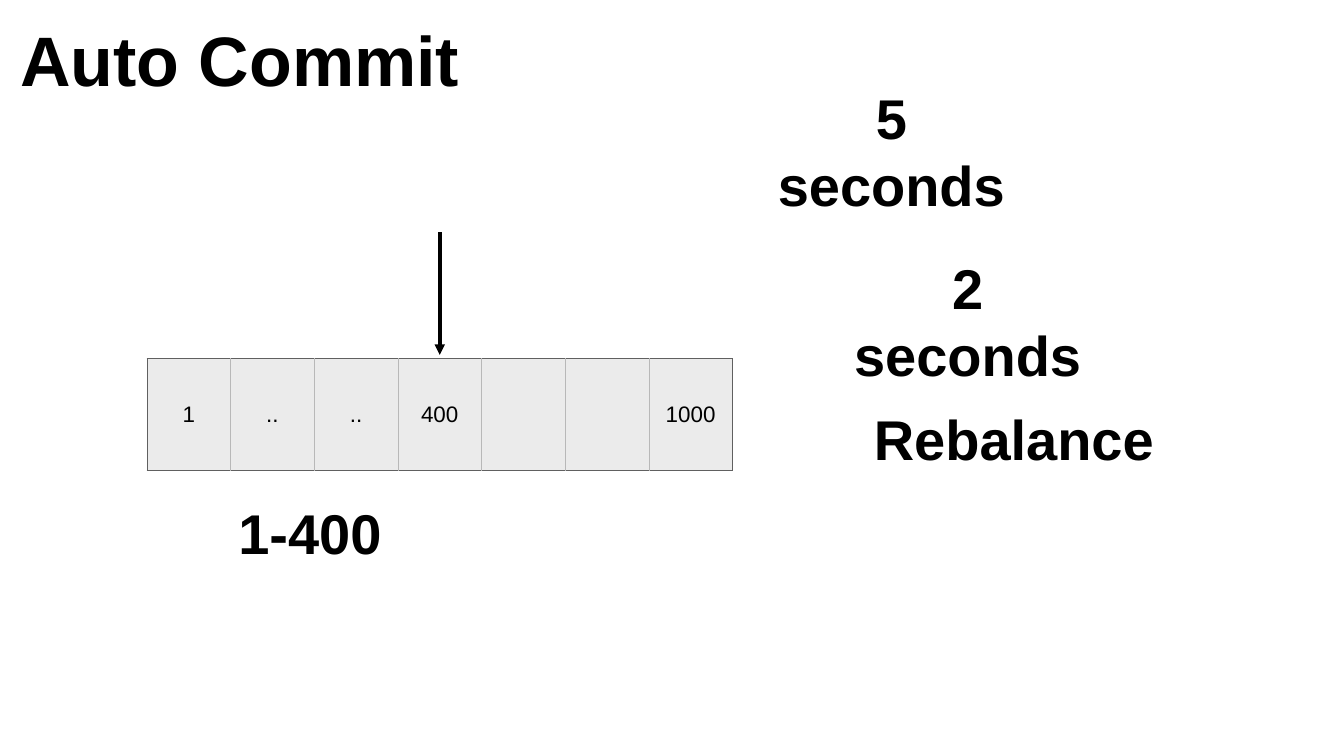
from lxml.etree import SubElement
from pptx import Presentation
from pptx.dml.color import RGBColor
from pptx.enum.shapes import MSO_CONNECTOR as Connector
from pptx.enum.text import MSO_ANCHOR as Anchor, MSO_AUTO_SIZE as AutoSize, PP_ALIGN as Align
from pptx.oxml.ns import qn
from pptx.util import Pt

COLORS = {
    "text": "000000",
    "cell": "EBEBEB",
    "outer": "606060",
    "inner": "B8B8B8",
}
FONT = "Arial"
INSET = 4
OFFSETS = ["1", "..", "..", "400", "", "", "1000"]
COMMITTED = OFFSETS.index("400")
LOG_LEFT, LOG_TOP, CELL_WIDTH, CELL_HEIGHT = 210, 512, 119.5, 160
LABELS = [
    ("Auto Commit", 23, 20, 639, 128, 100),
    ("5 seconds", 1074, 163.5, 399, 103, 80),
    ("2 seconds", 1183, 407, 399, 103, 80),
    ("Rebalance", 1242, 574, 413, 103, 80),
    ("1-400", 333, 708, 219.5, 103, 80),
]


def color(name):
    return RGBColor.from_string(COLORS[name])


def format_text(text_frame, size, bold):
    paragraph = text_frame.paragraphs[0]
    paragraph.alignment = Align.CENTER
    for run in paragraph.runs:
        run.font.name = FONT
        run.font.size = Pt(size)
        run.font.bold = bold
        run.font.color.rgb = color("text")


def set_insets(target):
    target.margin_left = target.margin_right = Pt(INSET)
    target.margin_top = target.margin_bottom = Pt(INSET)
    target.vertical_anchor = Anchor.MIDDLE


def add_label(slide, text, left, top, width, height, size):
    shape = slide.shapes.add_textbox(Pt(left), Pt(top), Pt(width), Pt(height))
    text_frame = shape.text_frame
    text_frame.text = text
    text_frame.word_wrap = False
    text_frame.auto_size = AutoSize.SHAPE_TO_FIT_TEXT
    set_insets(text_frame)
    format_text(text_frame, size, True)


def add_border(cell, side, color_name):
    properties = cell._tc.get_or_add_tcPr()
    line = SubElement(properties, qn(f"a:ln{side}"), w=str(Pt(1)))
    fill = SubElement(line, qn("a:solidFill"))
    SubElement(fill, qn("a:srgbClr"), val=COLORS[color_name])


def add_offset_log(slide):
    count = len(OFFSETS)
    frame = slide.shapes.add_table(
        1, count, Pt(LOG_LEFT), Pt(LOG_TOP), Pt(CELL_WIDTH * count), Pt(CELL_HEIGHT)
    )
    table = frame.table
    table.first_row = table.horz_banding = False
    for index, offset in enumerate(OFFSETS):
        table.columns[index].width = Pt(CELL_WIDTH)
        cell = table.cell(0, index)
        cell.text = offset
        set_insets(cell)
        format_text(cell.text_frame, 32, False)
        add_border(cell, "L", "outer" if index == 0 else "inner")
        add_border(cell, "R", "outer" if index == count - 1 else "inner")
        add_border(cell, "T", "outer")
        add_border(cell, "B", "outer")
        cell.fill.solid()
        cell.fill.fore_color.rgb = color("cell")


def add_arrow(slide, x, top, bottom):
    arrow = slide.shapes.add_connector(
        Connector.STRAIGHT, Pt(x), Pt(top), Pt(x), Pt(bottom)
    )
    arrow.line.color.rgb = color("text")
    arrow.line.width = Pt(5)
    SubElement(arrow.line._get_or_add_ln(), qn("a:tailEnd"), type="triangle")
    SubElement(arrow._element.spPr, qn("a:effectLst"))


def main():
    presentation = Presentation()
    presentation.slide_width = Pt(1920)
    presentation.slide_height = Pt(1080)
    slide = presentation.slides.add_slide(presentation.slide_layouts[6])
    for label in LABELS:
        add_label(slide, *label)
    add_offset_log(slide)
    add_arrow(slide, LOG_LEFT + CELL_WIDTH * (COMMITTED + 0.5), 332, 507)
    presentation.save("out.pptx")


if __name__ == "__main__":
    main()
